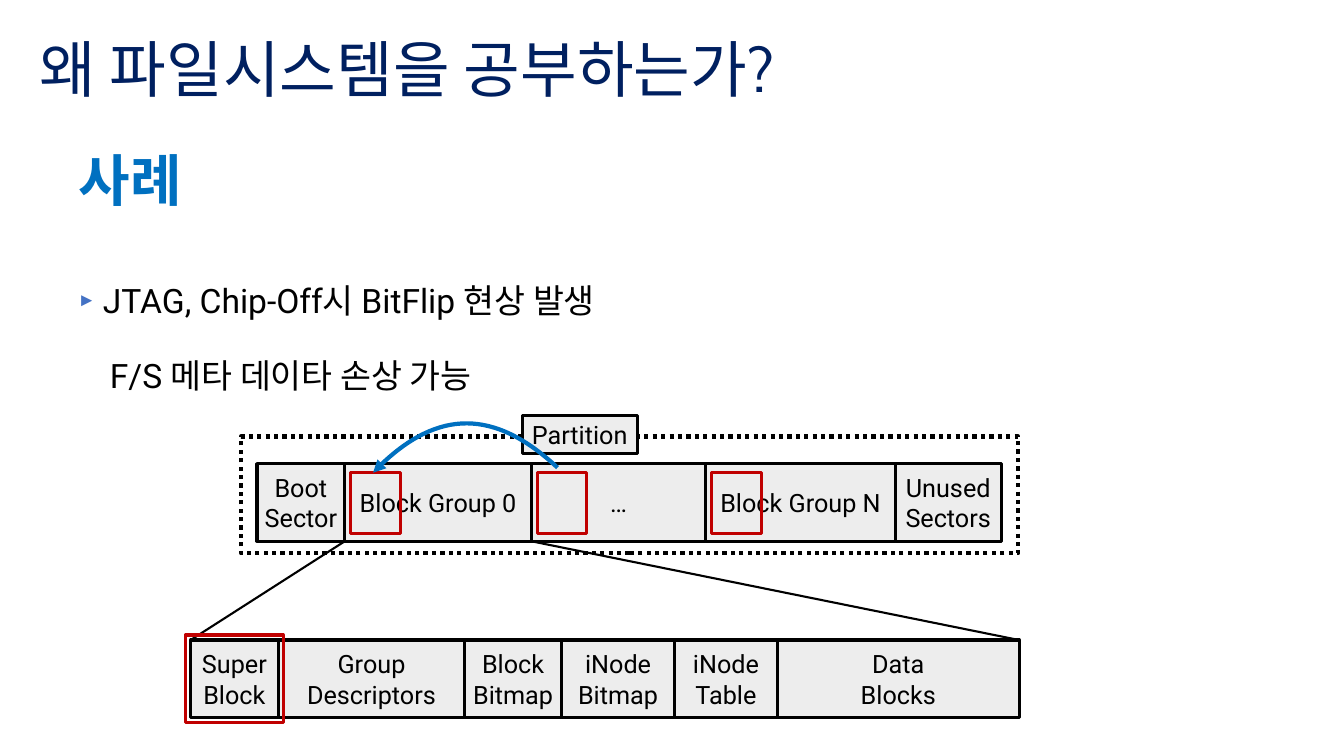
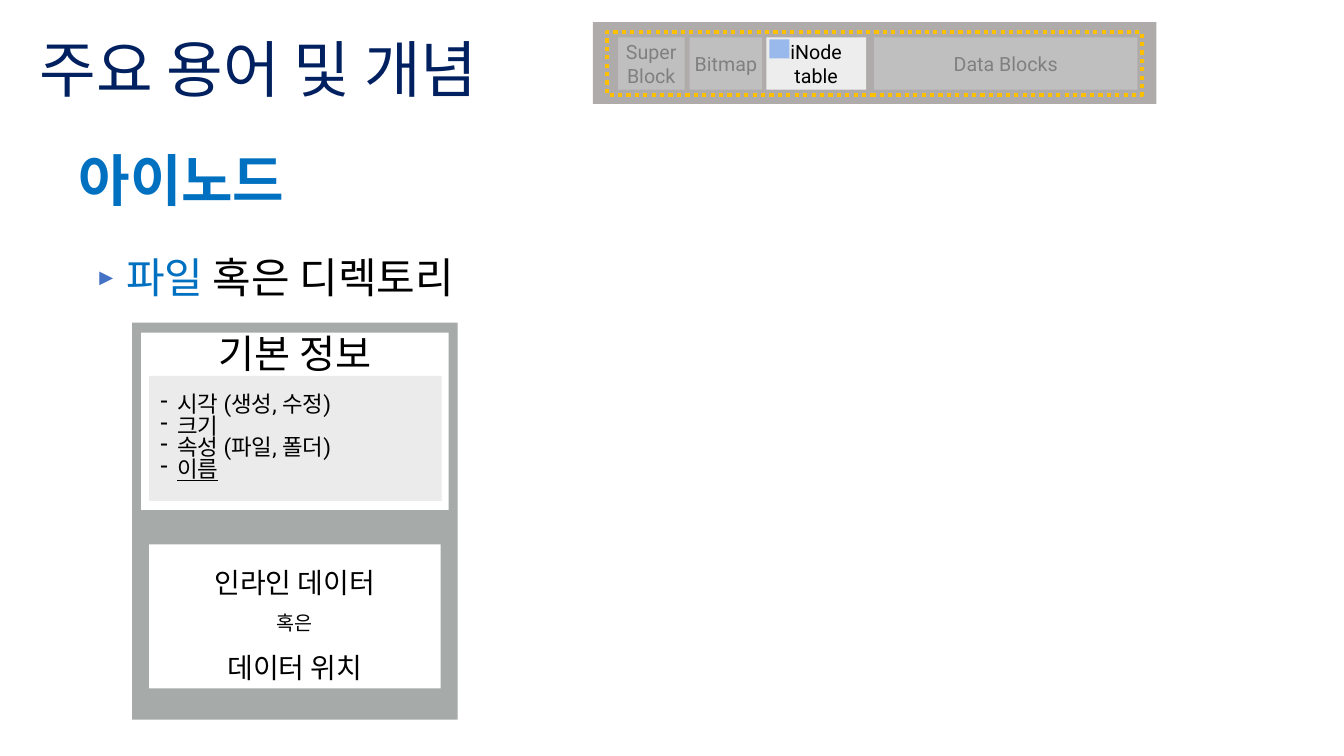
from itertools import pairwise

from lxml import etree
from pptx import Presentation
from pptx import util as u
from pptx.dml.color import RGBColor
from pptx.enum import dml, shapes, text
from pptx.oxml.ns import qn

PX = 9144  # 100 px to the inch
COLORS = {
    "navy": "002060", "blue": "0070C0", "bullet": "4472C4", "black": "000000",
    "white": "FFFFFF", "cell": "EDEDED", "red": "C00000", "amber": "FFC000",
    "bar": "AFABAB", "faded": "BFBFBF", "faded_text": "808080", "inode": "99B8EB",
    "frame": "A6AAA9", "list": "EBEBEB",
}
BODY_FONT, TITLE_FONT = "Roboto", "Cabin"
TITLE_AT, HEADING_AT = (29, 22, 1142, 99), (68, 152, 1221, 71)
ARROW_BULLET = {"bullet": "►", "bullet_color": "bullet", "bullet_size": 55}
DASH_BULLET = {"bullet": "-", "margin": 22, "indent": -17}

CASE = {
    "title": "왜 파일시스템을 공부하는가?",
    "heading": "사례",
    "body_at": (67, 253, 1221, 475),
    "body": [
        {"spans": [("JTAG, Chip-Off시 BitFlip 현상 발생", {})],
         "margin": 25, "indent": -31, **ARROW_BULLET},
        {"spans": [("F/S 메타 데이타 손상 가능", {})], "margin": 32, "before": 10},
    ],
    "body_size": 24,
}
PARTITION_LABELS = ["Boot\nSector", "Block Group 0", "…", "Block Group N", "Unused\nSectors"]
PARTITION_EDGES = [255, 342, 527, 700, 888, 993]
GROUP_LABELS = ["Super\nBlock", "Group\nDescriptors", "Block\nBitmap",
                "iNode\nBitmap", "iNode\nTable", "Data\nBlocks"]
GROUP_EDGES = [189, 276, 461, 557, 669, 771, 1011]
PARTITION_TOP, GROUP_TOP, ROW_HEIGHT = 460, 635, 77
COPY_CURVE = [(370, 469), (429, 407), (490, 405), (553, 464)]

INODE = {
    "title": "주요 용어 및 개념",
    "heading": "아이노드",
    "body_at": (84, 220, 1087, 508),
    "body": [{"spans": [("파일", {"color": "blue"}), (" 혹은 디렉토리", {})],
              "margin": 31, "indent": -31, **ARROW_BULLET}],
    "body_size": 30,
}
MAP_CELLS = [  # label, left, width, fill, text colour
    ("Super\nBlock", 613, 66, "faded", "faded_text"),
    ("Bitmap", 684, 72, "faded", "faded_text"),
    ("Data Blocks", 867, 261, "faded", "faded_text"),
    ("iNode\ntable", 760, 99, "cell", "black"),
]
BASIC_INFO = [
    {"spans": [("시각 (생성, 수정)", {})]},
    {"spans": [("크기", {})]},
    {"spans": [("속성 (파일, 폴더)", {})]},
    {"spans": [("이름", {"underline": True})]},
]
DATA_INFO = [
    {"spans": [("인라인 데이터", {})]},
    {"spans": [("혹은", {})], "size": 14},
    {"spans": [("데이터 위치", {})]},
]


def rgb(name):
    return RGBColor.from_string(COLORS[name])


def emu(*lengths):
    return [u.Emu(length * PX) for length in lengths]


def add_bullet(para, bullet, bullet_color=None, bullet_size=None):
    props = para._p.get_or_add_pPr()
    if bullet_color:
        holder = etree.SubElement(props, qn("a:buClr"))
        etree.SubElement(holder, qn("a:srgbClr"), val=COLORS[bullet_color])
    if bullet_size:
        etree.SubElement(props, qn("a:buSzPct"), val=str(bullet_size * 1000))
    if bullet:
        etree.SubElement(props, qn("a:buChar"), char=bullet)
    else:
        etree.SubElement(props, qn("a:buNone"))


def write(box, content, anchor="TOP", inset=None, **shared):
    """Fill a shape from a string or a list of paragraph dicts; keywords set the format."""
    frame = box.text_frame
    frame.word_wrap = True
    frame.auto_size = text.MSO_AUTO_SIZE.NONE
    frame.vertical_anchor = text.MSO_ANCHOR[anchor]
    if inset is not None:
        frame.margin_left = frame.margin_right = u.Emu(inset * PX)
        frame.margin_top = frame.margin_bottom = u.Emu(inset * PX)
    if isinstance(content, str):
        content = [{"spans": [(content, {})]}]
    for number, item in enumerate(content):
        para = frame.add_paragraph() if number else frame.paragraphs[0]
        style = {**shared, **item}
        add_bullet(para, style.get("bullet"), style.get("bullet_color"), style.get("bullet_size"))
        props = para._p.get_or_add_pPr()
        props.set("marL", str(style.get("margin", 0) * PX))
        props.set("indent", str(style.get("indent", 0) * PX))
        para.alignment = text.PP_ALIGN[style.get("align", "LEFT")]
        para.line_spacing = style.get("spacing", 1.0)
        para.space_before = u.Pt(style.get("before", 0))
        for words, changes in style["spans"]:
            look = {**style, **changes}
            for index, line in enumerate(words.split("\n")):
                if index:
                    para.add_line_break()
                span = para.add_run()
                span.text = line
                span.font.name = look.get("font", BODY_FONT)
                span.font.size = u.Pt(look["size"])
                span.font.bold = look.get("bold", False)
                span.font.underline = look.get("underline", False)
                span.font.color.rgb = rgb(look.get("color", "black"))


def add_rect(page, at, fill=None, line=None, width=2.25, dotted=False):
    box = page.shapes.add_shape(shapes.MSO_SHAPE.RECTANGLE, *emu(*at))
    box.shadow.inherit = False
    if fill:
        box.fill.solid()
        box.fill.fore_color.rgb = rgb(fill)
    else:
        box.fill.background()
    if line:
        box.line.color.rgb = rgb(line)
        box.line.width = u.Pt(width)
        if dotted:
            box.line.dash_style = dml.MSO_LINE.ROUND_DOT
    else:
        box.line.fill.background()
    return box


def add_cell(page, label, at):
    box = add_rect(page, at, fill="cell", line="black")
    write(box, label, anchor="MIDDLE", inset=4, align="CENTER", size=18)


def add_row(page, labels, edges, top):
    for label, (left, right) in zip(labels, pairwise(edges)):
        add_cell(page, label, (left, top, right - left, ROW_HEIGHT))


def add_line(page, start, end):
    line = page.shapes.add_connector(shapes.MSO_CONNECTOR.STRAIGHT, *emu(*start, *end))
    line.line.color.rgb = rgb("black")
    line.line.width = u.Pt(1.5)
    etree.SubElement(line._element.spPr, qn("a:effectLst"))


def add_curved_arrow(page, points):
    """Draw one cubic curve through start, two controls and end, with its head at the start."""
    builder = page.shapes.build_freeform(*points[0], scale=PX)
    builder.add_line_segments(points[1:], close=False)
    curve = builder.convert_to_shape()
    curve.shadow.inherit = False
    curve.fill.background()
    curve.line.color.rgb = rgb("blue")
    curve.line.width = u.Pt(3)
    segments = list(curve._element.iter(qn("a:lnTo")))
    outline = segments[0].getparent()
    cubic = etree.SubElement(outline, qn("a:cubicBezTo"))
    for segment in segments:
        cubic.append(segment[0])
        outline.remove(segment)
    etree.SubElement(curve.line._get_or_add_ln(), qn("a:headEnd"), type="triangle")


def start_page(deck, topic):
    page = deck.slides.add_slide(deck.slide_layouts.get_by_name("Two Content"))
    title, heading, body = page.placeholders
    for box, at in ((title, TITLE_AT), (heading, HEADING_AT), (body, topic["body_at"])):
        box.left, box.top, box.width, box.height = emu(*at)
    write(title, topic["title"], anchor="MIDDLE", size=44, font=TITLE_FONT,
          color="navy", spacing=0.9)
    write(heading, topic["heading"], size=40, bold=True, color="blue", spacing=0.8)
    write(body, topic["body"], size=topic["body_size"], spacing=1.5)
    return page


def build_case(deck):
    page = start_page(deck, CASE)
    add_rect(page, (239, 433, 771, 116), line="black", width=3, dotted=True)
    add_row(page, PARTITION_LABELS, PARTITION_EDGES, PARTITION_TOP)
    add_cell(page, "Partition", (518, 412, 114, 38))
    add_row(page, GROUP_LABELS, GROUP_EDGES, GROUP_TOP)
    bottom = PARTITION_TOP + ROW_HEIGHT
    add_line(page, (PARTITION_EDGES[1], bottom), (GROUP_EDGES[0], GROUP_TOP))
    add_line(page, (PARTITION_EDGES[2], bottom), (GROUP_EDGES[-1], GROUP_TOP))

    left, right = GROUP_EDGES[:2]
    pad = 5
    add_rect(page, (left - pad, GROUP_TOP - pad, right - left + 2 * pad, ROW_HEIGHT + 2 * pad),
             line="red")
    for edge in PARTITION_EDGES[1:4]:
        add_rect(page, (edge + 6, PARTITION_TOP + 9, 49, 60), line="red")
    add_curved_arrow(page, COPY_CURVE)


def build_inode(deck):
    page = start_page(deck, INODE)
    add_rect(page, (588, 22, 559, 81), fill="bar")
    for label, left, width, fill, color in MAP_CELLS:
        box = add_rect(page, (left, 37, width, 52), fill=fill)
        write(box, label, anchor="MIDDLE", inset=4, align="CENTER", size=14, color=color)
    add_rect(page, (602, 32, 531, 62), line="amber", width=3, dotted=True)
    add_rect(page, (763, 39, 20, 19), fill="inode")

    add_rect(page, (131, 320, 323, 394), fill="frame")
    basic = add_rect(page, (140, 330, 305, 176), fill="white")
    write(basic, "기본 정보", inset=6, align="CENTER", size=28, spacing=0.8)
    details = add_rect(page, (148, 373, 290, 124), fill="list")
    write(details, BASIC_INFO, anchor="MIDDLE", inset=6, size=16, spacing=0.8, **DASH_BULLET)
    data = add_rect(page, (148, 540, 289, 143), fill="white")
    write(data, DATA_INFO, anchor="MIDDLE", inset=6, align="CENTER", size=20, spacing=1.5)


def main():
    deck = Presentation()
    deck.slide_width, deck.slide_height = emu(1333, 750)
    build_case(deck)
    build_inode(deck)
    deck.save("out.pptx")


if __name__ == "__main__":
    main()
